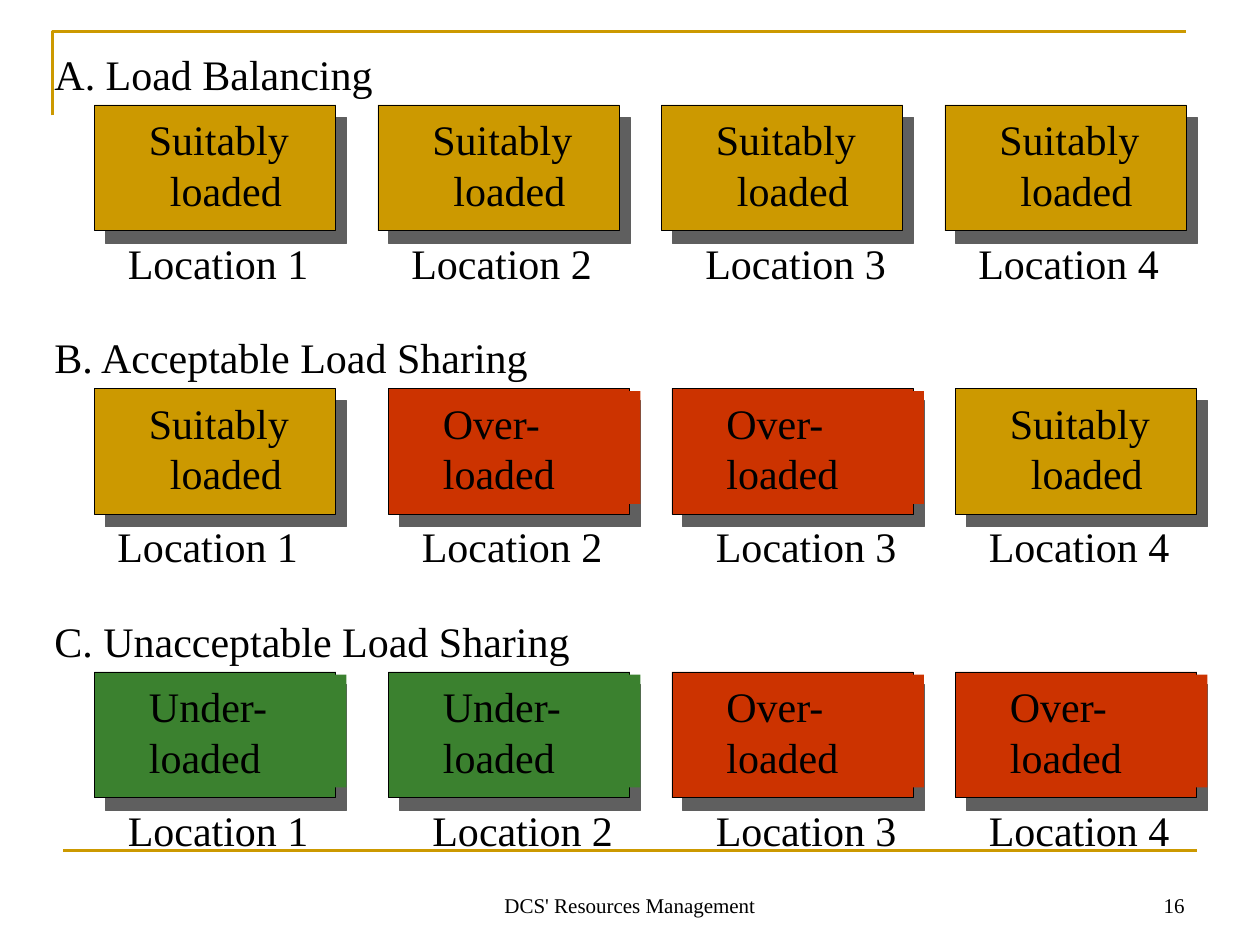
from dataclasses import dataclass

from lxml.etree import SubElement
from pptx import Presentation
from pptx.dml.color import RGBColor
from pptx.enum.shapes import MSO_CONNECTOR, MSO_SHAPE
from pptx.enum.text import MSO_ANCHOR, PP_ALIGN
from pptx.oxml.ns import qn
from pptx.util import Emu, Pt


@dataclass(frozen=True)
class Theme:
    font: str = "Times New Roman"
    body_size: float = 24
    body_line: float = 28.8
    footer_size: float = 12
    frame_width: float = 1.5
    outline_width: float = 0.5
    text: str = "000000"
    gold: str = "CC9900"
    red: str = "CC3300"
    green: str = "3B812F"
    shadow: str = "5F5F5F"


THEME = Theme()
BLANK_LAYOUT = 6
BOX_WIDTH, BOX_HEIGHT = 184, 96
BOX_STEP = ROW_STEP = 216
HEADING_HEIGHT = 48

# state: (words, fill, whether the caption has its own fill, hanging indent)
STATES = {
    "suitable": ("Suitably loaded", THEME.gold, False, 16),
    "over": ("Over- loaded", THEME.red, True, 0),
    "under": ("Under- loaded", THEME.green, True, 0),
}

# heading, heading width, box lefts, location lefts, states
ROWS = [
    ("A. Load Balancing", 352, (72, 288, 504, 720), (88, 304, 528, 736),
     ("suitable",) * 4),
    ("B. Acceptable Load Sharing", 400, (72, 296, 512, 728), (80, 312, 536, 744),
     ("suitable", "over", "over", "suitable")),
    ("C. Unacceptable Load Sharing", 424, (72, 296, 512, 728), (88, 320, 536, 744),
     ("under", "under", "over", "over")),
]


def px(length):
    """Convert px, 96 to the inch, into EMU."""
    return Emu(length * 9525)


def color(value):
    return RGBColor.from_string(value)


def add_text(slide, words, left, top, width, height, size=THEME.body_size):
    shape = slide.shapes.add_textbox(px(left), px(top), px(width), px(height))
    frame = shape.text_frame
    frame.word_wrap = True
    paragraph = frame.paragraphs[0]
    run = paragraph.add_run()
    run.text = words
    run.font.name = THEME.font
    run.font.size = Pt(size)
    run.font.color.rgb = color(THEME.text)
    if size == THEME.body_size:
        paragraph.line_spacing = Pt(THEME.body_line)
    return shape


def add_hard_shadow(shape):
    shape.shadow.inherit = False
    effects = shape._element.spPr.find(qn("a:effectLst"))
    shadow = SubElement(effects, qn("a:outerShdw"), blurRad="0",
                        dist=str(Pt(9.2)), dir=str(49 * 60000),
                        algn="ctr", rotWithShape="0")
    SubElement(shadow, qn("a:srgbClr"), val=THEME.shadow)


def add_load_box(slide, state, left, top):
    words, fill, filled_caption, hanging = STATES[state]
    box = slide.shapes.add_shape(MSO_SHAPE.RECTANGLE, px(left), px(top),
                                 px(BOX_WIDTH), px(BOX_HEIGHT))
    box.fill.solid()
    box.fill.fore_color.rgb = color(fill)
    box.line.color.rgb = color(THEME.text)
    box.line.width = Pt(THEME.outline_width)
    add_hard_shadow(box)

    caption = add_text(slide, words, left + 32, top + 2, 160, 86)
    if filled_caption:
        caption.fill.solid()
        caption.fill.fore_color.rgb = color(fill)
    if hanging:
        properties = caption.text_frame.paragraphs[0]._p.get_or_add_pPr()
        properties.set("marL", str(px(hanging)))
        properties.set("indent", str(px(-hanging)))


def add_row(slide, row, left, top):
    """Place a heading, four load boxes and the locations below them."""
    heading, heading_width, box_lefts, location_lefts, states = row
    box_top = top + HEADING_HEIGHT
    for state, box_left in zip(states, box_lefts):
        add_load_box(slide, state, box_left, box_top)
    add_text(slide, heading, left, top, heading_width, HEADING_HEIGHT)
    for number, location_left in enumerate(location_lefts, 1):
        add_text(slide, f"Location {number}", location_left,
                 box_top + BOX_HEIGHT, 192, HEADING_HEIGHT)


def add_frame(slide, left, top, width, height):
    """Draw the corner at the top left and the rule at the bottom."""
    builder = slide.shapes.build_freeform(px(left), px(top + 64))
    builder.add_line_segments([(px(left), px(top)), (px(left + width), px(top))],
                              close=False)
    corner = builder.convert_to_shape()
    corner.fill.background()
    corner.shadow.inherit = False
    rule = slide.shapes.add_connector(
        MSO_CONNECTOR.STRAIGHT, px(left + 8), px(top + height),
        px(left + 8 + width), px(top + height))
    for shape in (corner, rule):
        shape.line.color.rgb = color(THEME.gold)
        shape.line.width = Pt(THEME.frame_width)
    SubElement(rule._element.spPr, qn("a:effectLst"))


def add_footer(slide, top):
    parts = [("DCS' Resources Management", 328, 304, PP_ALIGN.CENTER),
             ("16", 688, 224, PP_ALIGN.RIGHT)]
    for words, left, width, alignment in parts:
        shape = add_text(slide, words, left, top, width, 48, THEME.footer_size)
        shape.text_frame.vertical_anchor = MSO_ANCHOR.BOTTOM
        shape.text_frame.paragraphs[0].alignment = alignment


def main():
    presentation = Presentation()
    presentation.slide_width, presentation.slide_height = px(960), px(720)
    slide = presentation.slides.add_slide(presentation.slide_layouts[BLANK_LAYOUT])
    add_frame(slide, 40, 24, 864, 624)
    for index, row in enumerate(ROWS):
        add_row(slide, row, 32, 32 + index * ROW_STEP)
    add_footer(slide, 656)
    presentation.save("out.pptx")


if __name__ == "__main__":
    main()
